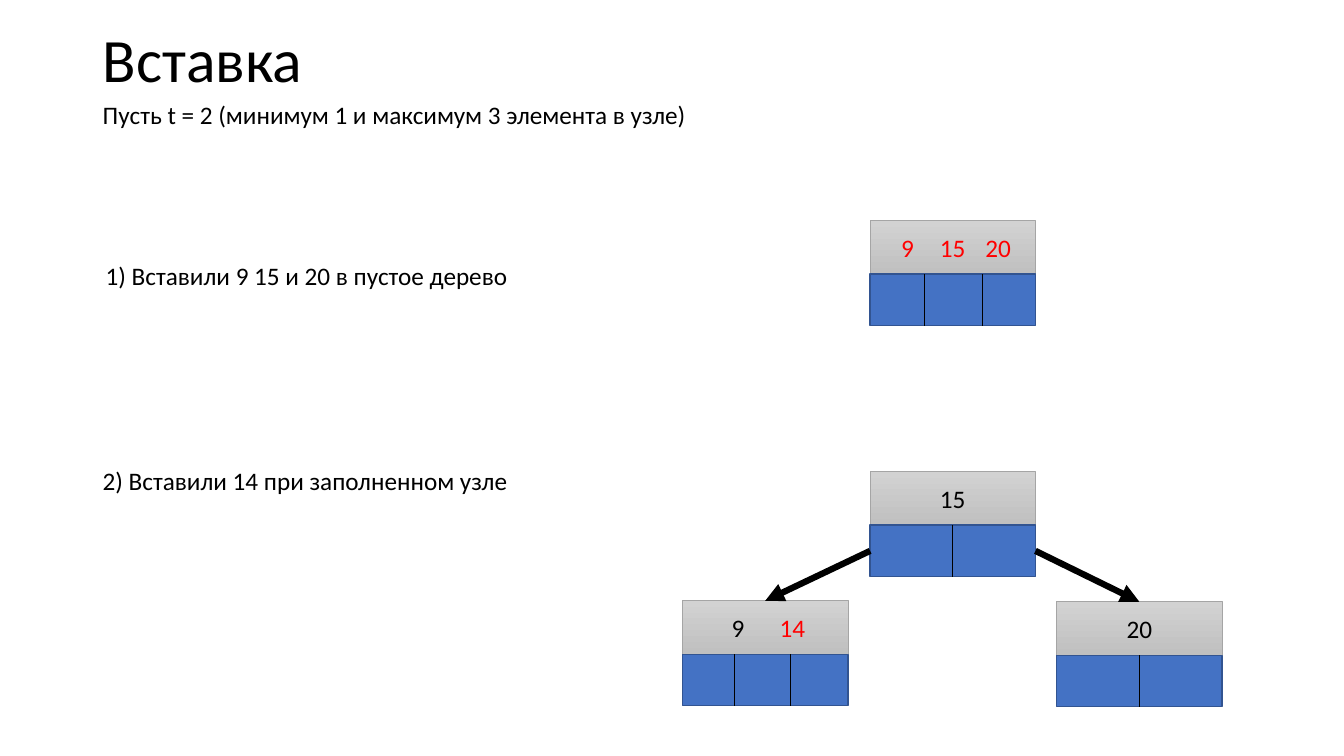
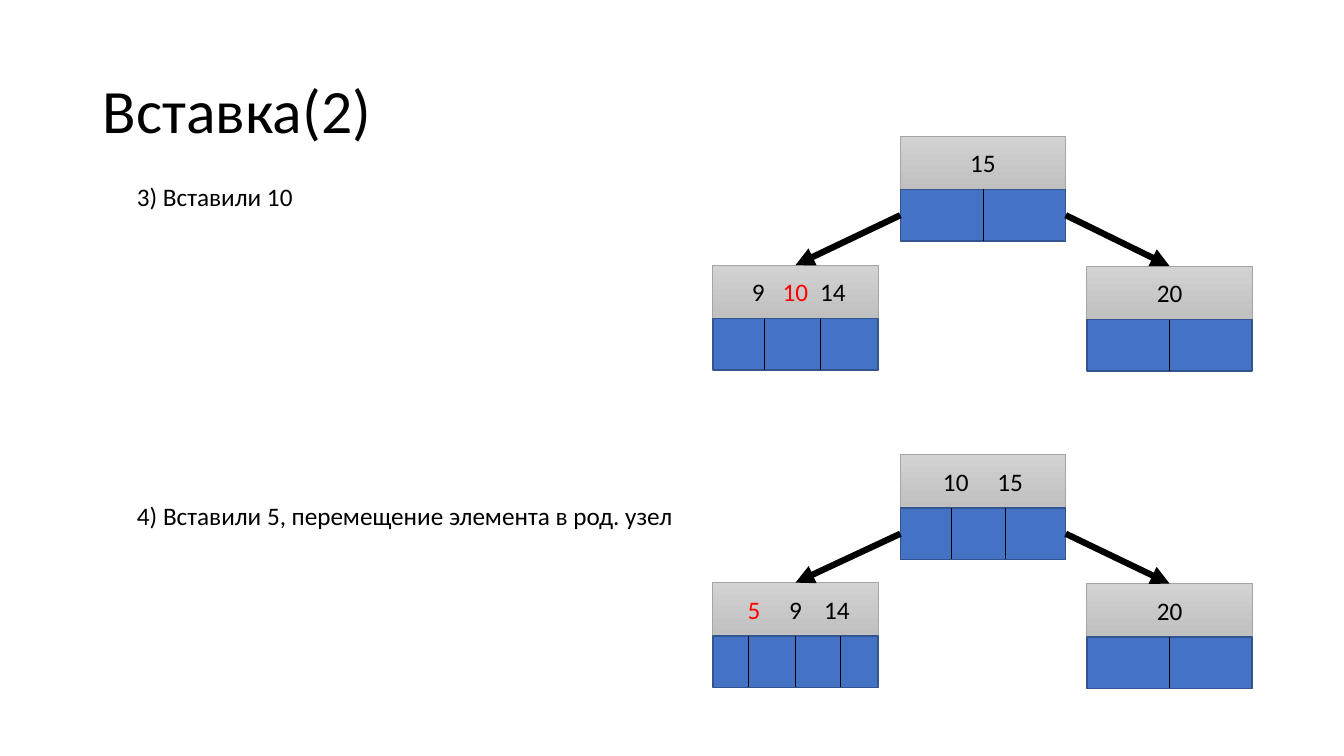
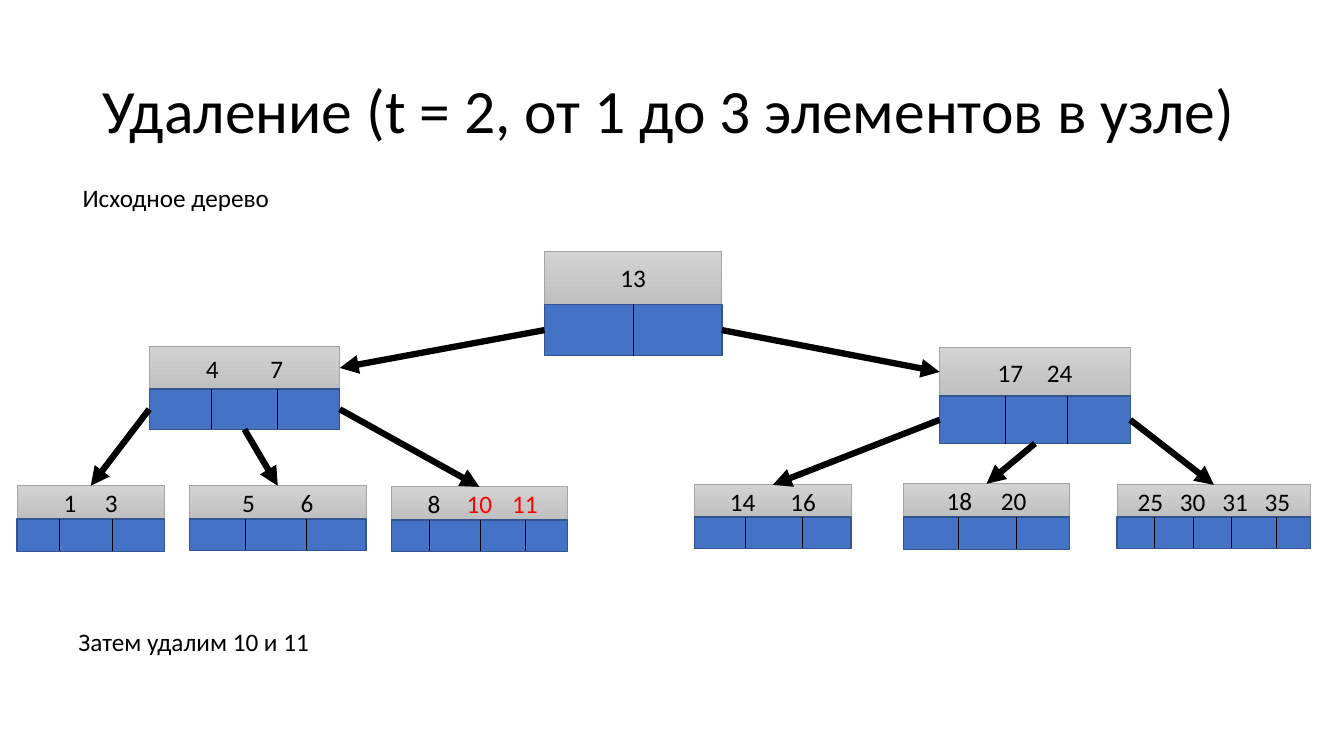
from dataclasses import dataclass

import lxml.etree
import pptx
import pptx.dml.color
import pptx.enum.shapes
import pptx.enum.text
import pptx.oxml.ns
import pptx.util

Inches = pptx.util.Inches
Pt = pptx.util.Pt
RGB = pptx.dml.color.RGBColor.from_string
qn = pptx.oxml.ns.qn
Align = pptx.enum.text.PP_ALIGN
Anchor = pptx.enum.text.MSO_ANCHOR
AutoSize = pptx.enum.text.MSO_AUTO_SIZE
RECTANGLE = pptx.enum.shapes.MSO_SHAPE.RECTANGLE
STRAIGHT = pptx.enum.shapes.MSO_CONNECTOR.STRAIGHT
TOP, LEFT, BOTTOM, RIGHT = range(4)


@dataclass(frozen=True)
class Theme:
    font: str = "Calibri"
    title_size: int = 44
    text_size: int = 18
    text: str = "000000"
    new_key: str = "FF0000"
    key_top: str = "D2D2D2"
    key_bottom: str = "C0C0C0"
    key_line: str = "A5A5A5"
    pointer: str = "4472C4"
    pointer_line: str = "325491"
    thin: float = 0.5
    outline: float = 1
    arrow: float = 4.5


@dataclass(frozen=True)
class Node:
    """Tree node: key_step is the distance between keys, dividers are offsets from the left."""
    left: float
    top: float
    keys: str
    key_step: float = 0
    dividers: tuple = ()
    new_keys: str = ""
    width: float = 1.64
    key_height: float = 0.53
    pointer_height: float = 0.51


theme = Theme()

# Links: parent index, side of its pointers, child index, side of its keys
FAMILY = [(0, LEFT, 1, TOP), (0, RIGHT, 2, TOP)]

PAGES = [
    {
        "title": "Вставка",
        "title_top": -0.1,
        "captions": [
            (0.92, 0.94, 6.15, "Пусть t = 2 (минимум 1 и максимум 3 элемента в узле)"),
            (0.95, 2.53, 4.24, "1) Вставили 9 15 и 20 в пустое дерево"),
            (0.92, 4.57, 4.26, "2) Вставили 14 при заполненном узле"),
        ],
        "trees": [
            ([Node(8.63, 2.19, "9 15 20", 0.45, (0.54, 1.11), "9 15 20")], []),
            ([Node(8.63, 4.68, "15"),
              Node(6.77, 5.96, "9 14", 0.54, (0.51, 1.07), "14"),
              Node(10.48, 5.97, "20")], FAMILY),
        ],
    },
    {
        "title": "Вставка(2)",
        "title_top": 0.4,
        "captions": [
            (1.26, 1.75, 1.76, "3) Вставили 10"),
            (1.26, 4.91, 5.59, "4) Вставили 5, перемещение элемента в род. узел"),
        ],
        "trees": [
            ([Node(8.93, 1.35, "15"),
              Node(7.07, 2.63, "9 10 14", 0.37, (0.51, 1.07), "10"),
              Node(10.78, 2.64, "20")], FAMILY),
            ([Node(8.93, 4.51, "10 15", 0.54, (0.51, 1.04)),
              Node(7.07, 5.78, "5 9 14", 0.41, (0.35, 0.82, 1.26), "5"),
              Node(10.78, 5.79, "20")], FAMILY),
        ],
    },
    {
        "title": "Удаление (t = 2, от 1 до 3 элементов в узле)",
        "title_top": 0.4,
        "captions": [
            (0.72, 1.76, 2.52, "Исходное дерево"),
            (0.68, 6.16, 2.51, "Затем удалим 10 и 11"),
        ],
        "trees": [
            ([Node(5.4, 2.49, "13", width=1.76),
              Node(1.48, 3.44, "4 7", 0.64, (0.62, 1.27), "", 1.89, 0.42, 0.4),
              Node(9.32, 3.45, "17 24", 0.49, (0.65, 1.27), "", 1.89, 0.48, 0.47),
              Node(0.17, 4.82, "1 3", 0.41, (0.42, 0.94), "", 1.46, 0.33, 0.32),
              Node(1.88, 4.82, "5 6", 0.58, (0.55, 1.16), "", 1.75, 0.33, 0.31),
              Node(3.88, 4.83, "8 10 11", 0.45, (0.38, 0.88, 1.33), "10 11", 1.75, 0.33, 0.31),
              Node(6.89, 4.81, "14 16", 0.6, (0.5, 1.07), "", 1.55, 0.32, 0.31),
              Node(8.96, 4.8, "18 20", 0.54, (0.55, 1.12), "", 1.65, 0.33, 0.32),
              Node(11.08, 4.81, "25 30 31 35", 0.42, (0.37, 0.76, 1.13, 1.58), "",
                   1.92, 0.32, 0.31)],
             [(0, LEFT, 1, RIGHT), (0, RIGHT, 2, LEFT),
              (1, LEFT, 3, TOP), (1, BOTTOM, 4, TOP), (1, RIGHT, 5, TOP),
              (2, LEFT, 6, TOP), (2, BOTTOM, 7, TOP), (2, RIGHT, 8, TOP)]),
        ],
    },
]


def style_text(para, size):
    para.font.name = theme.font
    para.font.size = Pt(size)
    para.font.color.rgb = RGB(theme.text)


def add_line(page, weight, left=0, top=0, height=0):
    """Add a vertical line without shadow; an arrow is joined to its boxes afterwards."""
    line = page.shapes.add_connector(
        STRAIGHT, Inches(left), Inches(top), Inches(left), Inches(top + height))
    line.line.color.rgb = RGB(theme.text)
    line.line.width = Pt(weight)
    lxml.etree.SubElement(line._element.spPr, qn("a:effectLst"))
    return line


deck = pptx.Presentation()
deck.slide_width, deck.slide_height = Inches(13.33), Inches(7.5)
title_only = deck.slide_layouts[5]

for content in PAGES:
    page = deck.slides.add_slide(title_only)

    title = page.shapes.title
    title.left, title.top = Inches(0.92), Inches(content["title_top"])
    title.width, title.height = Inches(11.5), Inches(1.45)
    frame = title.text_frame
    frame.text = content["title"]
    frame.word_wrap = True
    frame.auto_size = AutoSize.NONE
    frame.vertical_anchor = Anchor.MIDDLE
    para = frame.paragraphs[0]
    para.alignment = Align.LEFT
    para.line_spacing = 0.9
    style_text(para, theme.title_size)

    for left, top, width, text in content["captions"]:
        caption = page.shapes.add_textbox(Inches(left), Inches(top), Inches(width), Inches(0.4))
        frame = caption.text_frame
        frame.text = text
        frame.word_wrap = False
        frame.auto_size = AutoSize.SHAPE_TO_FIT_TEXT
        style_text(frame.paragraphs[0], theme.text_size)

    for nodes, links in content["trees"]:
        key_boxes, pointer_boxes = [], []
        for node in nodes:
            pointer_top = node.top + node.key_height
            key_box = page.shapes.add_shape(
                RECTANGLE, Inches(node.left), Inches(node.top),
                Inches(node.width), Inches(node.key_height))
            key_box.shadow.inherit = False
            key_box.fill.gradient()
            key_box.fill.gradient_angle = 270
            for stop, color in zip(key_box.fill.gradient_stops,
                                   (theme.key_top, theme.key_bottom)):
                stop.color.rgb = RGB(color)
            key_box.line.color.rgb = RGB(theme.key_line)
            key_box.line.width = Pt(theme.thin)
            key_boxes.append(key_box)

            frame = key_box.text_frame
            frame.margin_left = frame.margin_right = frame.margin_top = frame.margin_bottom = 0
            frame.vertical_anchor = Anchor.MIDDLE
            para = frame.paragraphs[0]
            keys = node.keys.split()
            several = len(keys) > 1
            para.alignment = Align.LEFT if several else Align.CENTER
            if several:
                tabs = lxml.etree.SubElement(para._p.get_or_add_pPr(), qn("a:tabLst"))
                first = (node.width - node.key_step * (len(keys) - 1)) / 2
                for index in range(len(keys)):
                    position = Inches(first + index * node.key_step)
                    lxml.etree.SubElement(tabs, qn("a:tab"), pos=str(position), algn="ctr")
            style_text(para, theme.text_size)
            for key in keys:
                span = para.add_run()
                span.text = f"\t{key}" if several else key
                is_new = key in node.new_keys.split()
                span.font.color.rgb = RGB(theme.new_key if is_new else theme.text)

            pointer_box = page.shapes.add_shape(
                RECTANGLE, Inches(node.left), Inches(pointer_top),
                Inches(node.width), Inches(node.pointer_height))
            pointer_box.shadow.inherit = False
            pointer_box.fill.solid()
            pointer_box.fill.fore_color.rgb = RGB(theme.pointer)
            pointer_box.line.color.rgb = RGB(theme.pointer_line)
            pointer_box.line.width = Pt(theme.outline)
            pointer_boxes.append(pointer_box)

            for offset in node.dividers or (node.width / 2,):
                add_line(page, theme.thin, node.left + offset, pointer_top, node.pointer_height)

        for parent, parent_side, child, child_side in links:
            arrow = add_line(page, theme.arrow)
            arrow.begin_connect(pointer_boxes[parent], parent_side)
            arrow.end_connect(key_boxes[child], child_side)
            lxml.etree.SubElement(arrow.line._get_or_add_ln(), qn("a:tailEnd"), type="triangle")

deck.save("out.pptx")
